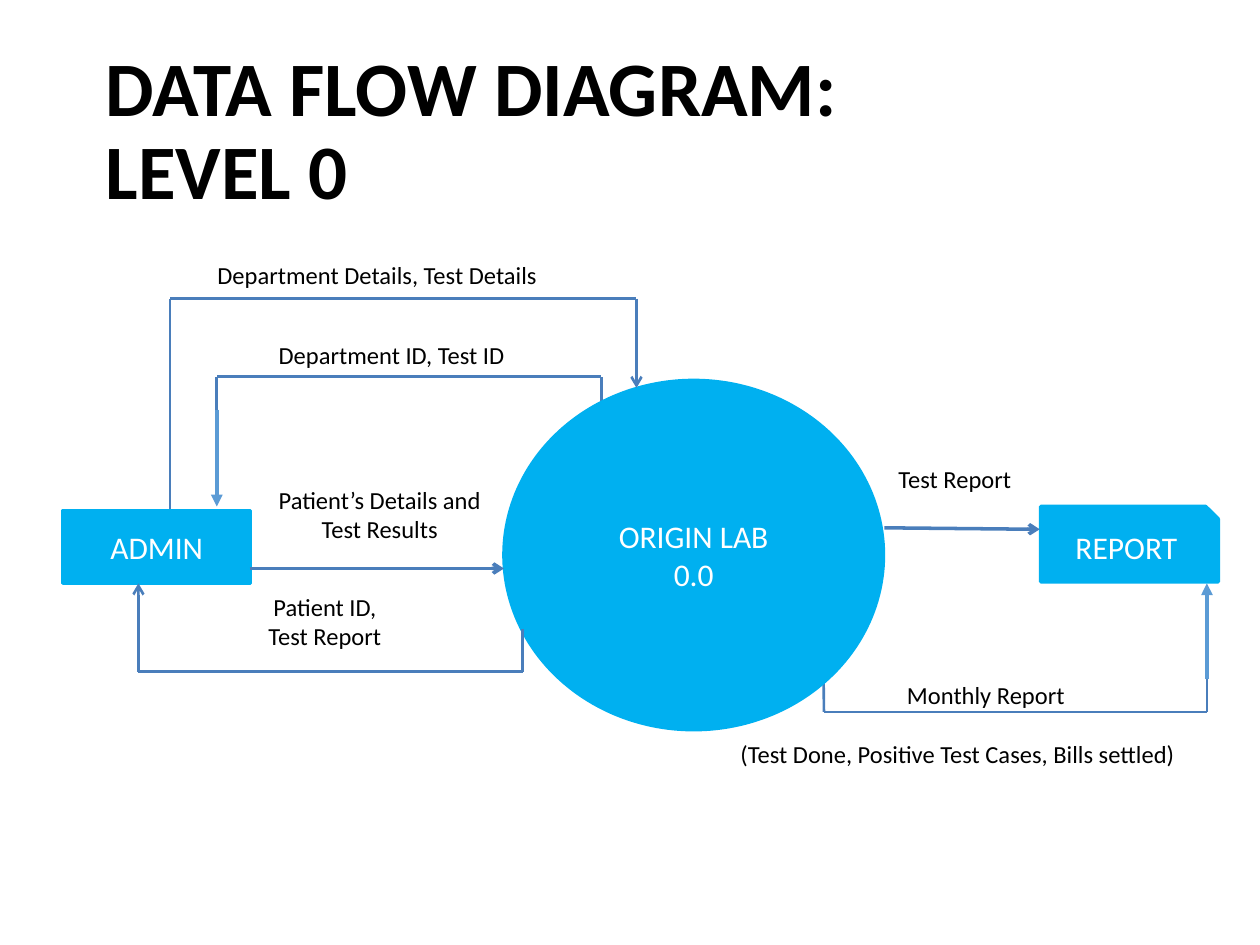
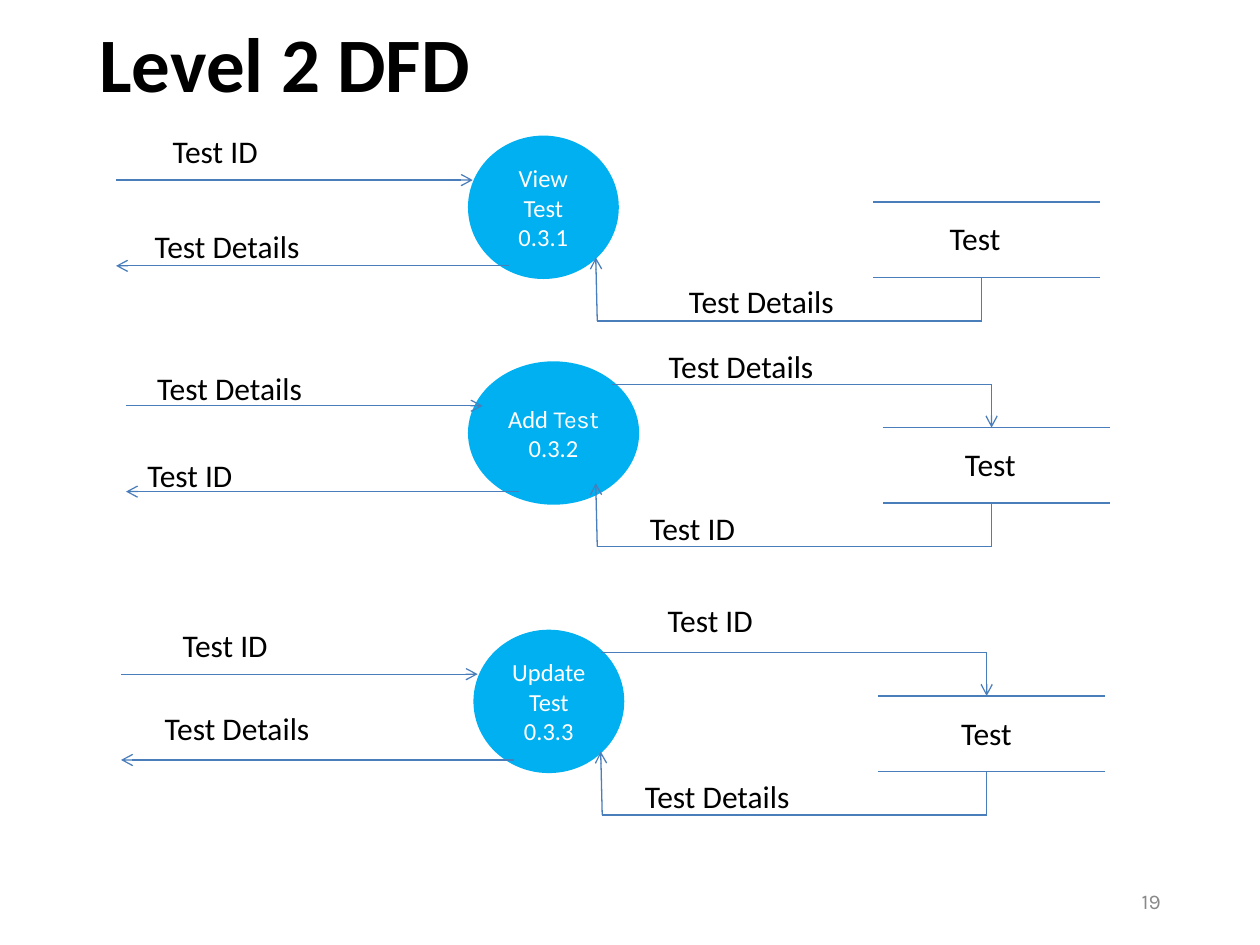
import lxml.etree
import pptx
import pptx.dml.color
import pptx.enum.shapes
import pptx.enum.text
import pptx.oxml.ns
import pptx.util

Cm, Pt = pptx.util.Cm, pptx.util.Pt
qn = pptx.oxml.ns.qn
SHAPE = pptx.enum.shapes.MSO_SHAPE
ALIGN = pptx.enum.text.PP_ALIGN
ANCHOR = pptx.enum.text.MSO_ANCHOR

FONT, SECOND_FONT = "Calibri", "Karla"
BLACK, WHITE, GREY = "000000", "FFFFFF", "898989"
NODE_BLUE, LINE_BLUE, ARROW_BLUE = "00B0F0", "4A7EBB", "5B9BD5"

# Positions are centimetres: (left, top, width, height) or (x, y).
LEVEL_0_TITLE = (["DATA FLOW DIAGRAM:", "LEVEL 0"], (1.88, 0.84, 21.92, 3.68))
LEVEL_2_TITLE = (["Level 2 DFD"], (1.75, 0, 21.92, 2.72))

NODES = [
    (SHAPE.OVAL, ["ORIGIN LAB", "0.0"], (10.16, 7.67, 7.65, 7.04)),
    (SHAPE.RECTANGLE, ["ADMIN"], (1.27, 10.29, 3.78, 1.47)),
    (SHAPE.SNIP_1_RECTANGLE, ["REPORT"], (20.98, 10.21, 3.58, 1.52)),
]
# Points, line width, colour, arrowhead
FLOWS_BEHIND = [
    ([(16.59, 12.6), (16.61, 14.35), (24.33, 14.35), (24.33, 13.51)], 1.5, LINE_BLUE, None),
    ([(24.33, 13.69), (24.33, 11.76)], 2.25, ARROW_BLUE, "triangle"),
    ([(12.12, 9.4), (12.12, 7.59), (4.37, 7.59), (4.37, 8.46)], 1.5, LINE_BLUE, None),
    ([(4.37, 8.26), (4.37, 10.21)], 2.25, ARROW_BLUE, "triangle"),
]
FLOWS_IN_FRONT = [
    ([(5.03, 11.46), (10.16, 11.46)], 2, LINE_BLUE, "arrow"),
    ([(17.83, 10.64), (20.96, 10.67)], 2, LINE_BLUE, "arrow"),
    ([(10.54, 12.67), (10.54, 13.54), (2.79, 13.54), (2.79, 11.76)], 1.5, LINE_BLUE, "arrow"),
    ([(3.43, 10.26), (3.43, 6.02), (12.83, 6.02), (12.83, 7.82)], 1.5, LINE_BLUE, "arrow"),
]
FLOW_LABELS = [
    (["Department Details, Test Details"], (1.42, 5.11, 12.37, 0.86)),
    (["Department ID, Test ID"], (5.33, 6.73, 5.13, 0.86)),
    (["Patient’s Details and", "Test Results"], (4.06, 9.65, 7.19, 1.45)),
    (["Patient ID,", "Test Report"], (5.13, 11.81, 2.84, 1.45)),
    (["Test Report"], (17.83, 9.22, 2.84, 0.86)),
    (["Monthly Report"], (17.6, 13.59, 4.55, 0.86)),
    (["(Test Done, Positive Test Cases, Bills settled)"], (13.21, 14.78, 12.19, 0.86)),
]

# One process per row; "shift" moves its arrows and data store to the right.
PROCESSES = [
    {"name": ["View", "Test", "0.3.1"], "circle": (9.47, 2.77, 2.97), "shift": 0,
     "return_x": 12.04, "request_x": None, "store_x": 17.47,
     "labels": [("Test ID", 3.23, 2.54), ("Test Details", 2.87, 4.45),
                ("Test Details", 13.64, 5.56)]},
    {"name": [[("Add ", FONT), ("Test", SECOND_FONT)], "0.3.2"],
     "circle": (9.47, 7.32, 3.38), "shift": 0.2,
     "return_x": 12.04, "request_x": 12.34, "store_x": 17.78,
     "labels": [("Test Details", 2.92, 7.32), ("Test ID", 2.72, 9.07),
                ("Test Details", 13.23, 6.88), ("Test ID", 12.85, 10.13)]},
    {"name": ["Update", "Test", "0.3.3"], "circle": (9.58, 12.73, 2.97), "shift": 0.1,
     "return_x": 12.14, "request_x": 12.12, "store_x": 17.7,
     "labels": [("Test ID", 3.43, 12.5), ("Test Details", 3.07, 14.17),
                ("Test ID", 13.21, 11.99), ("Test Details", 12.75, 15.54)]},
]
CIRCLE_HEIGHT = 2.82
LABEL_WIDTH, LABEL_HEIGHT = 4.7, 1.02
STORE_LEFT, STORE_RIGHT, STORE_POST = 17.6, 22.17, 19.79
PAGE_NUMBER = ("19", (17.93, 17.65, 5.72, 1.02))


def rgb(value):
    return pptx.dml.color.RGBColor.from_string(value)


def style_run(span, size, color, font=FONT, bold=False):
    span.font.size, span.font.name, span.font.bold = Pt(size), font, bold
    span.font.color.rgb = rgb(color)


def write(frame, paragraphs, size, color, align, font=FONT):
    """Fill a frame; a paragraph is a string or a list of (text, font) runs."""
    frame.word_wrap = True
    for index, content in enumerate(paragraphs):
        para = frame.add_paragraph() if index else frame.paragraphs[0]
        para.alignment = align
        for text, name in [(content, font)] if isinstance(content, str) else content:
            span = para.add_run()
            span.text = text
            style_run(span, size, color, name)


def add_label(page, paragraphs, place, size, align=ALIGN.LEFT, color=BLACK,
              font=FONT, anchor=ANCHOR.TOP):
    box = page.shapes.add_textbox(*map(Cm, place))
    box.text_frame.vertical_anchor = anchor
    write(box.text_frame, paragraphs, size, color, align, font)


def add_node(page, kind, paragraphs, place, size):
    node = page.shapes.add_shape(kind, *map(Cm, place))
    node.shadow.inherit = False
    node.fill.solid()
    node.fill.fore_color.rgb = rgb(NODE_BLUE)
    node.line.color.rgb = rgb(NODE_BLUE)
    node.line.width = Pt(2)
    node.text_frame.vertical_anchor = ANCHOR.MIDDLE
    write(node.text_frame, paragraphs, size, WHITE, ALIGN.CENTER)


def add_flow(page, points, width=0.75, color=LINE_BLUE, head=None):
    """Join the points by straight lines, with the arrowhead on the last one."""
    for start, end in zip(points, points[1:]):
        line = page.shapes.add_connector(pptx.enum.shapes.MSO_CONNECTOR.STRAIGHT,
                                         *map(Cm, start + end))
        line.line.color.rgb = rgb(color)
        line.line.width = Pt(width)
        properties = line._element.spPr
        lxml.etree.SubElement(properties, qn("a:effectLst"))
    if head:
        outline = properties.find(qn("a:ln"))
        lxml.etree.SubElement(outline, qn("a:tailEnd"), type=head)


def add_page(deck, lines, place):
    page = deck.slides.add_slide(deck.slide_layouts[5])
    title = page.shapes.title
    title.left, title.top, title.width, title.height = map(Cm, place)
    frame = title.text_frame
    frame.auto_size = pptx.enum.text.MSO_AUTO_SIZE.NONE
    frame.vertical_anchor = ANCHOR.MIDDLE
    para = frame.paragraphs[0]
    para.alignment = ALIGN.LEFT
    para.line_spacing = 0.9
    for index, text in enumerate(lines):
        if index:
            para.add_line_break()
        span = para.add_run()
        span.text = text
        style_run(span, 44, BLACK, bold=True)
    return page


def build_level_0(deck):
    page = add_page(deck, *LEVEL_0_TITLE)
    for flow in FLOWS_BEHIND:
        add_flow(page, *flow)
    for kind, name, place in NODES:
        add_node(page, kind, name, place, 18)
    for flow in FLOWS_IN_FRONT:
        add_flow(page, *flow)
    for text, place in FLOW_LABELS:
        add_label(page, text, place, 14, ALIGN.CENTER)


def add_process(page, process):
    left, top, width = process["circle"]
    shift, return_x = process["shift"], process["return_x"]
    add_node(page, SHAPE.FLOWCHART_CONNECTOR, process["name"],
             (left, top, width, CIRCLE_HEIGHT), 14)

    input_y, output_y = top + 0.86, top + 2.59
    add_flow(page, [(2.34 + shift, input_y), (9.53 + shift, input_y)], head="arrow")
    add_flow(page, [(10.26 + shift, output_y), (2.34 + shift, output_y)], head="arrow")

    store_top, store_bottom = top + 1.3, top + 2.82
    for y in (store_top, store_bottom):
        add_flow(page, [(STORE_LEFT + shift, y), (STORE_RIGHT + shift, y)])
    post, return_y = STORE_POST + shift, top + 3.7
    add_flow(page, [(post, store_bottom), (post, return_y), (return_x, return_y),
                    (return_x - 0.03, top + 2.42)], head="arrow")
    if process["request_x"]:
        request_y = top + 0.43
        add_flow(page, [(process["request_x"], request_y), (post, request_y),
                        (post, store_top)], head="arrow")

    for text, x, y in process["labels"]:
        add_label(page, [text], (x, y, LABEL_WIDTH, LABEL_HEIGHT), 18)
    add_label(page, ["Test"], (process["store_x"], top + 1.53, 4.37, LABEL_HEIGHT),
              18, ALIGN.CENTER)


def build_level_2(deck):
    page = add_page(deck, *LEVEL_2_TITLE)
    number, place = PAGE_NUMBER
    add_label(page, [number], place, 12, ALIGN.RIGHT, GREY, SECOND_FONT, ANCHOR.MIDDLE)
    for process in PROCESSES:
        add_process(page, process)


def main():
    deck = pptx.Presentation()
    deck.slide_width, deck.slide_height = Cm(25.4), Cm(19.05)
    build_level_0(deck)
    build_level_2(deck)
    deck.save("out.pptx")


if __name__ == "__main__":
    main()
